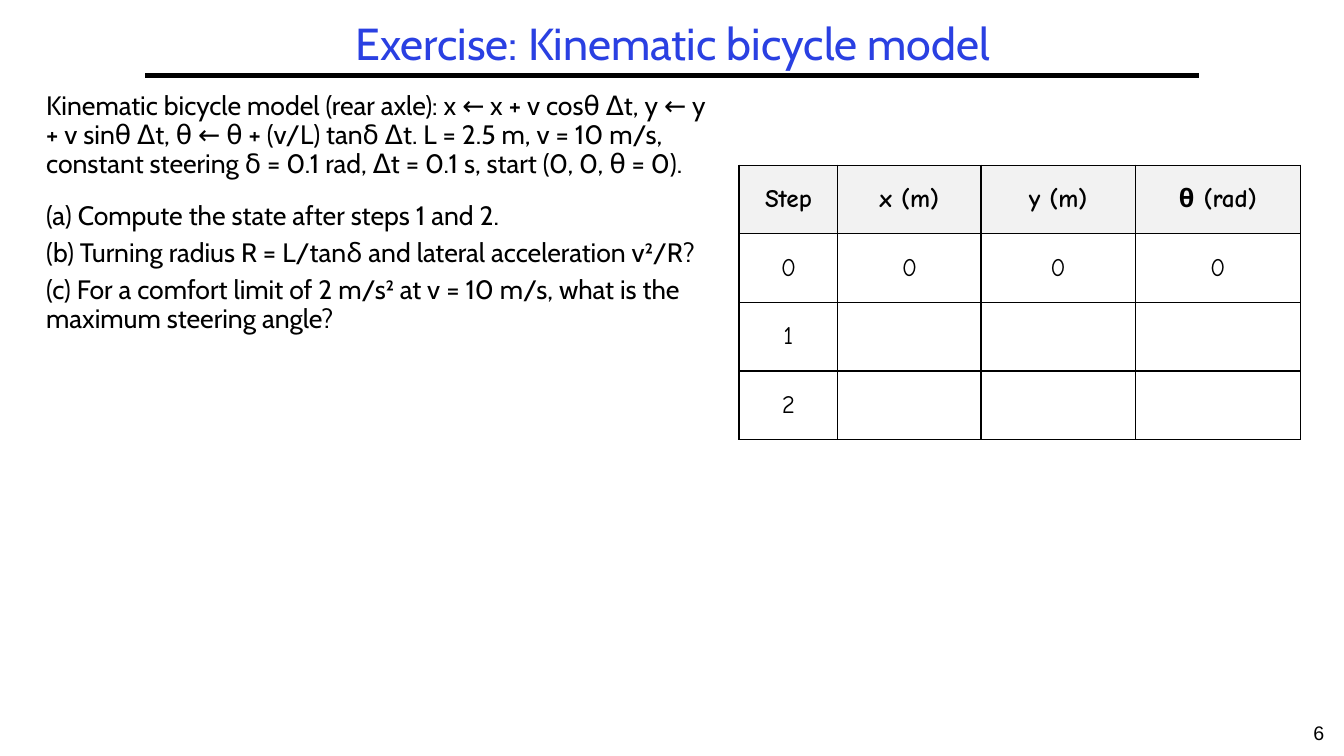
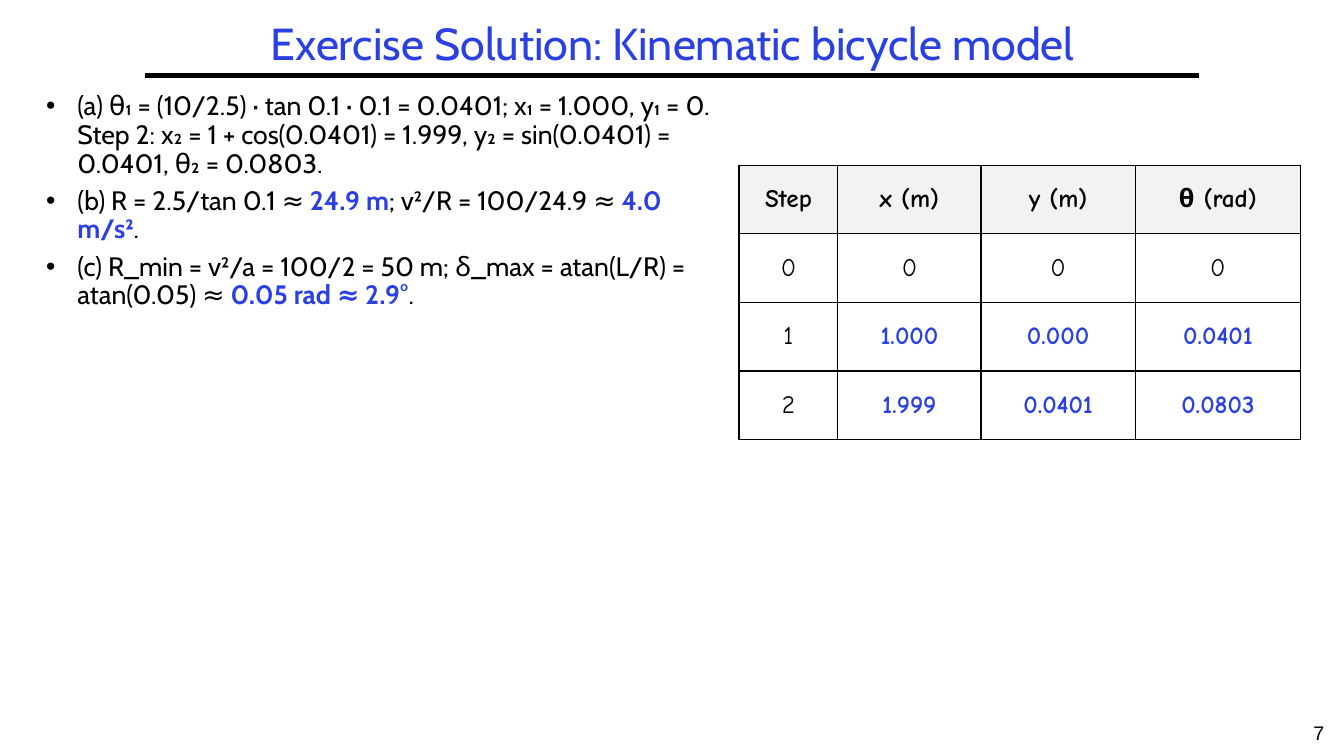
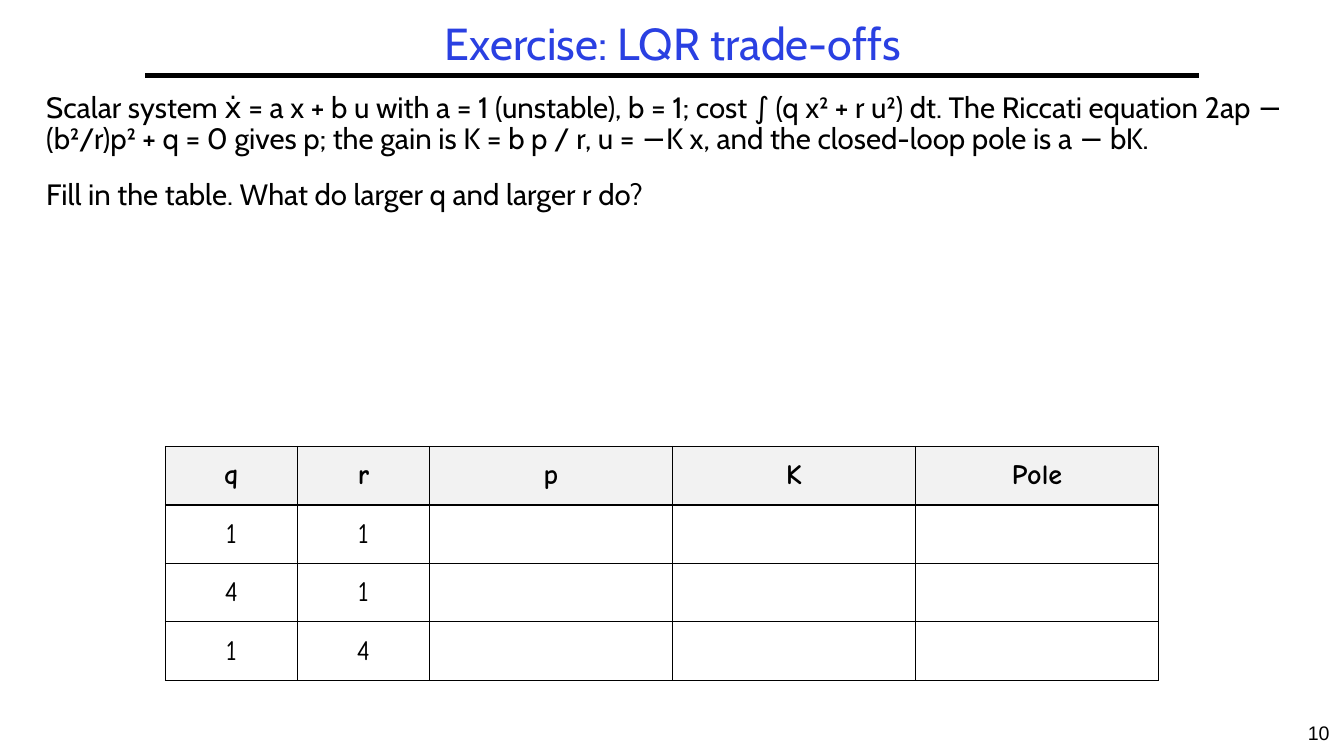
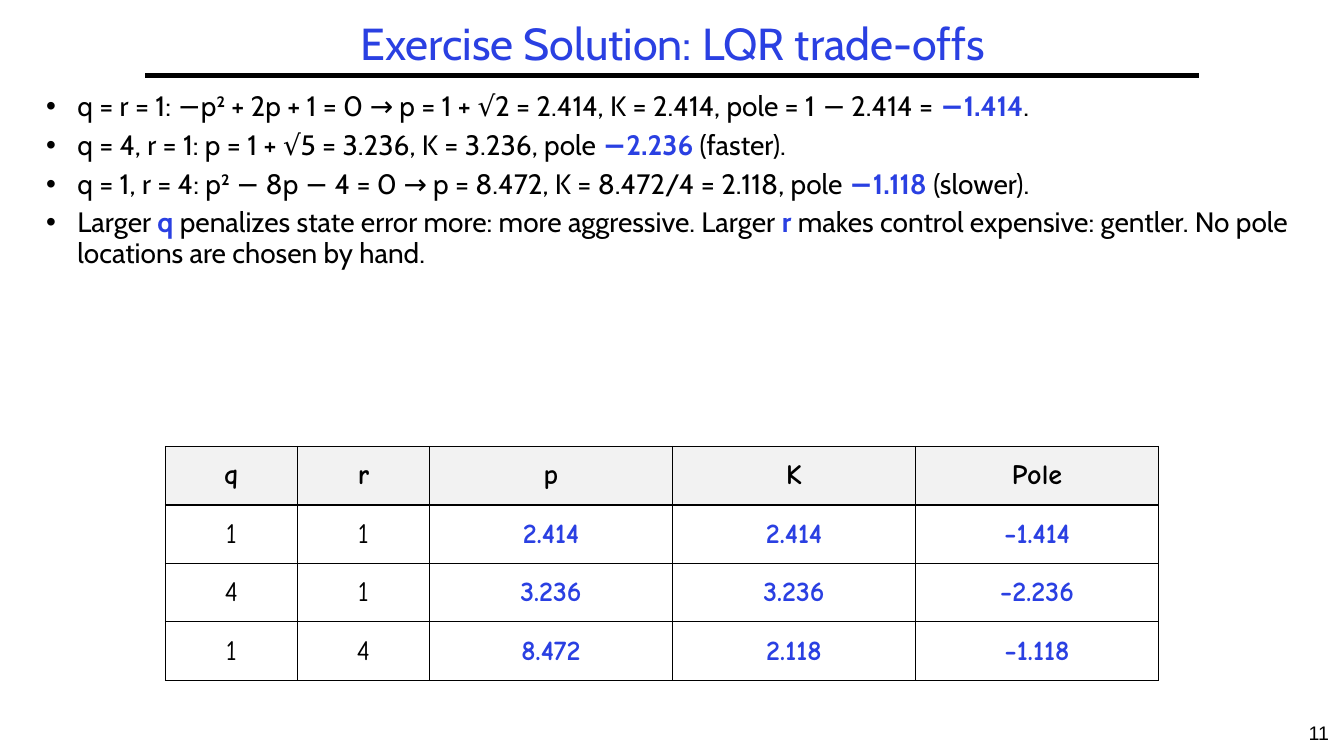
from lxml import etree
from pptx import Presentation
from pptx import util as u
from pptx.dml.color import RGBColor
from pptx.enum import shapes, text
from pptx.oxml import ns

BLACK, BLUE, GREY = "000000", "2A40E2", "F2F2F2"
TITLE = {"name": "Cabin", "size": u.Pt(32), "bold": False}
NUMBER = {"name": "Arial", "size": u.Pt(14), "bold": False}
MARGINS = {"margin_left": 0.07, "margin_right": 0.07, "margin_top": 0.03, "margin_bottom": 0.03}

BICYCLE = {
    "body": (6.78, 6.01), "origin": (7.33, 1.64), "columns": (0.98, 1.42, 1.53, 1.64),
    "row": 0.68, "size": 18, "header": ("Step", "x (m)", "y (m)", "θ (rad)"),
}
LQR = {
    "body": (12.58, 3.61), "origin": (1.64, 4.43), "columns": (1.31, 1.31, 2.41, 2.41, 2.41),
    "row": 0.58, "size": 20, "header": ("q", "r", "p", "K", "Pole"),
}

SLIDES = [
    {
        "number": "6", "title": "Exercise: Kinematic bicycle model", "layout": BICYCLE,
        "size": 19, "bullets": False,
        "lines": [
            "Kinematic bicycle model (rear axle): x ← x + v cosθ Δt, y ← y + v sinθ Δt, "
            "θ ← θ + (v/L) tanδ Δt. L = 2.5 m, v = 10 m/s, constant steering δ = 0.1 rad, "
            "Δt = 0.1 s, start (0, 0, θ = 0).",
            "(a) Compute the state after steps 1 and 2.",
            "(b) Turning radius R = L/tanδ and lateral acceleration v²/R?",
            "(c) For a comfort limit of 2 m/s² at v = 10 m/s, what is the maximum steering angle?",
        ],
        "rows": [("0", "0", "0", "0"), ("1", "", "", ""), ("2", "", "", "")],
    },
    {
        "number": "7", "title": "Exercise Solution: Kinematic bicycle model", "layout": BICYCLE,
        "size": 19, "bullets": True,
        "lines": [
            "(a) θ₁ = (10/2.5) · tan 0.1 · 0.1 = 0.0401; x₁ = 1.000, y₁ = 0. "
            "Step 2: x₂ = 1 + cos(0.0401) = 1.999, y₂ = sin(0.0401) = 0.0401, θ₂ = 0.0803.",
            "(b) R = 2.5/tan 0.1 ≈ **24.9 m**; v²/R = 100/24.9 ≈ **4.0 m/s²**.",
            "(c) R_min = v²/a = 100/2 = 50 m; δ_max = atan(L/R) = atan(0.05) ≈ **0.05 rad ≈ 2.9°**.",
        ],
        "rows": [("0", "0", "0", "0"), ("1", "1.000", "0.000", "0.0401"),
                 ("2", "1.999", "0.0401", "0.0803")],
    },
    {
        "number": "10", "title": "Exercise: LQR trade-offs", "layout": LQR,
        "size": 21, "bullets": False,
        "lines": [
            "Scalar system ẋ = a x + b u with a = 1 (unstable), b = 1; cost ∫ (q x² + r u²) dt. "
            "The Riccati equation 2ap − (b²/r)p² + q = 0 gives p; the gain is K = b p / r, "
            "u = −K x, and the closed-loop pole is a − bK.",
            "Fill in the table. What do larger q and larger r do?",
        ],
        "rows": [("1", "1", "", "", ""), ("4", "1", "", "", ""), ("1", "4", "", "", "")],
    },
    {
        "number": "11", "title": "Exercise Solution: LQR trade-offs", "layout": LQR,
        "size": 20, "bullets": True,
        "lines": [
            "q = r = 1: −p² + 2p + 1 = 0 → p = 1 + √2 = 2.414, K = 2.414, "
            "pole = 1 − 2.414 = **−1.414**.",
            "q = 4, r = 1: p = 1 + √5 = 3.236, K = 3.236, pole **−2.236** (faster).",
            "q = 1, r = 4: p² − 8p − 4 = 0 → p = 8.472, K = 8.472/4 = 2.118, "
            "pole **−1.118** (slower).",
            "Larger **q** penalizes state error more: more aggressive. Larger **r** makes "
            "control expensive: gentler. No pole locations are chosen by hand.",
        ],
        "rows": [("1", "1", "2.414", "2.414", "−1.414"), ("4", "1", "3.236", "3.236", "−2.236"),
                 ("1", "4", "8.472", "2.118", "−1.118")],
    },
]


def color(value):
    return RGBColor.from_string(value)


def add_span(para, words, style, ink):
    span = para.add_run()
    span.text = words
    for name, value in style.items():
        setattr(span.font, name, value)
    span.font.color.rgb = color(ink)


deck = Presentation()
deck.slide_width, deck.slide_height = u.Inches(13.33), u.Inches(7.5)

for content in SLIDES:
    page = deck.slides.add_slide(deck.slide_layouts[6])
    layout = content["layout"]

    rule = page.shapes.add_connector(
        shapes.MSO_CONNECTOR.STRAIGHT,
        u.Inches(1.44), u.Inches(0.75), u.Inches(11.89), u.Inches(0.75))
    rule.line.color.rgb = color(BLACK)
    rule.line.width = u.Pt(3)
    etree.SubElement(rule.element.spPr, ns.qn("a:effectLst"))

    for words, place, style, ink, anchor, spacing in (
        (content["number"], (12.83, 7.1, 0.5, 0.4), NUMBER, BLACK, text.MSO_ANCHOR.TOP, 1.0),
        (content["title"], (1.44, 0.17, 10.47, 0.58), TITLE, BLUE, text.MSO_ANCHOR.MIDDLE, 0.9),
    ):
        frame = page.shapes.add_textbox(*map(u.Inches, place)).text_frame
        frame.word_wrap = True
        frame.vertical_anchor = anchor
        para = frame.paragraphs[0]
        para.alignment = text.PP_ALIGN.CENTER
        para.line_spacing = spacing
        add_span(para, words, style, ink)

    frame = page.shapes.add_textbox(*map(u.Inches, (0.36, 0.87, *layout["body"]))).text_frame
    frame.word_wrap = True
    for index, line in enumerate(content["lines"]):
        para = frame.paragraphs[0] if index == 0 else frame.add_paragraph()
        para.line_spacing = 0.9
        if index > 0:
            after_statement = index == 1 and not content["bullets"]
            para.space_before = u.Pt(17 if after_statement else 6)
        if content["bullets"]:
            properties = para._p.get_or_add_pPr()
            properties.set("marL", str(u.Inches(0.31)))
            properties.set("indent", str(-u.Inches(0.31)))
            etree.SubElement(properties, ns.qn("a:buFont"), typeface="Arial")
            etree.SubElement(properties, ns.qn("a:buChar"), char="•")
        for part, words in enumerate(line.split("**")):
            key = part % 2 == 1
            style = {"name": "Cabin", "size": u.Pt(content["size"]), "bold": key}
            add_span(para, words, style, BLUE if key else BLACK)

    rows = [layout["header"], *content["rows"]]
    columns = layout["columns"]
    extent = (sum(columns), layout["row"] * len(rows))
    table = page.shapes.add_table(
        len(rows), len(columns), *map(u.Inches, (*layout["origin"], *extent))).table
    table.first_row = table.horz_banding = False
    for column, width in zip(table.columns, columns):
        column.width = u.Inches(width)
    for r, row in enumerate(rows):
        table.rows[r].height = u.Inches(layout["row"])
        for c, words in enumerate(row):
            cell = table.cell(r, c)
            cell.vertical_anchor = text.MSO_ANCHOR.MIDDLE
            for name, value in MARGINS.items():
                setattr(cell, name, u.Inches(value))
            for side in ("lnL", "lnR", "lnT", "lnB"):
                border = etree.SubElement(
                    cell._tc.get_or_add_tcPr(), ns.qn("a:" + side), w=str(u.Pt(1)))
                paint = etree.SubElement(border, ns.qn("a:solidFill"))
                etree.SubElement(paint, ns.qn("a:srgbClr"), val=BLACK)
            if r == 0:
                cell.fill.solid()
                cell.fill.fore_color.rgb = color(GREY)
            else:
                cell.fill.background()
            if words:
                answer = "." in words
                style = {"name": "Comic Neue", "size": u.Pt(layout["size"]),
                         "bold": r == 0 or answer}
                para = cell.text_frame.paragraphs[0]
                para.alignment = text.PP_ALIGN.CENTER
                add_span(para, words, style, BLUE if answer else BLACK)

deck.save("out.pptx")
